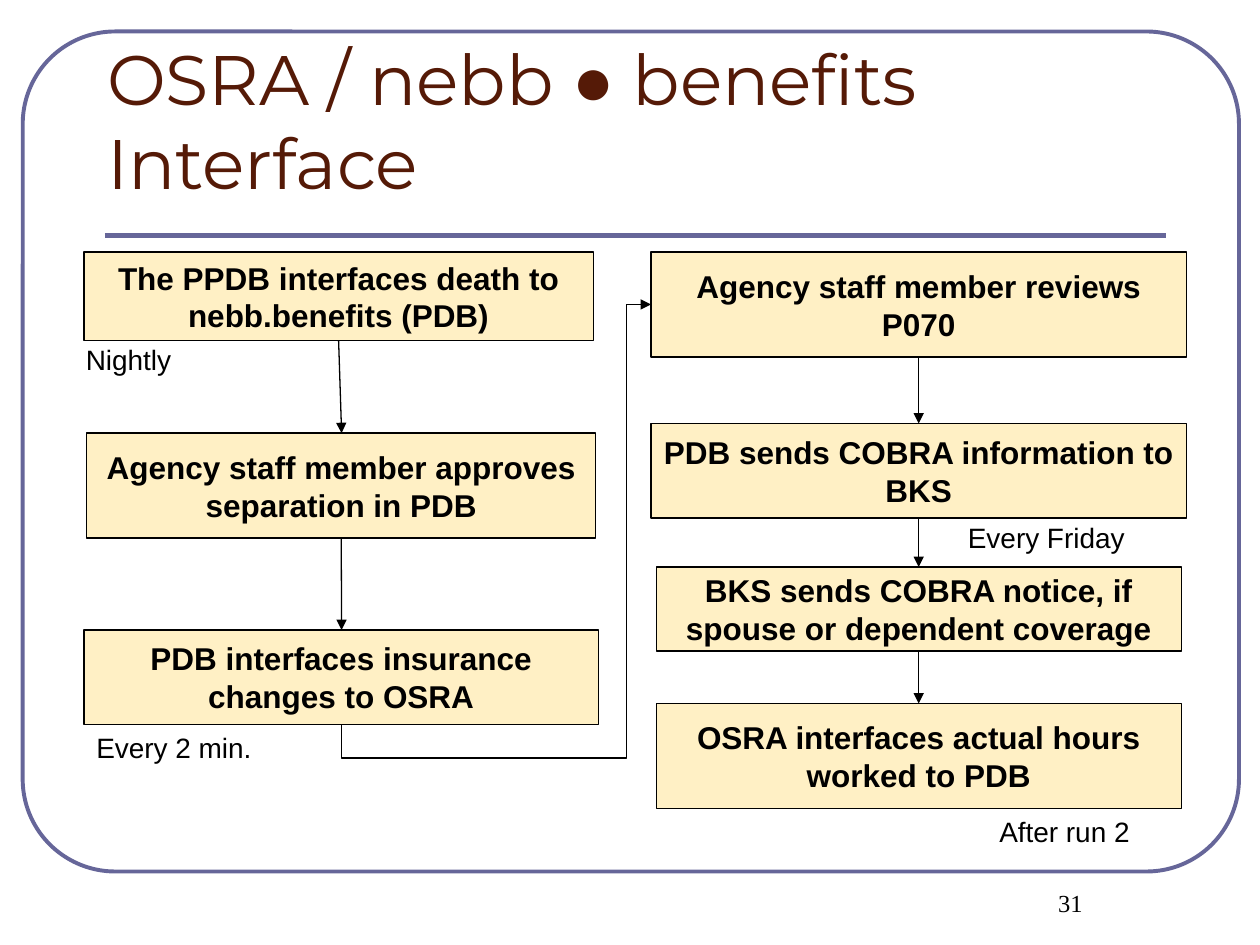
"""Build the benefits interface flowchart slide."""
from lxml import etree
from pptx import Presentation
from pptx.dml.color import RGBColor
from pptx.enum.shapes import MSO_CONNECTOR, MSO_SHAPE
from pptx.enum.text import MSO_ANCHOR, MSO_AUTO_SIZE, PP_ALIGN
from pptx.oxml.ns import qn
from pptx.util import Pt

PROCESS = MSO_SHAPE.FLOWCHART_PROCESS
ROUNDED = MSO_SHAPE.ROUNDED_RECTANGLE
STRAIGHT, ELBOW = MSO_CONNECTOR.STRAIGHT, MSO_CONNECTOR.ELBOW
MIDDLE, TOP, BOTTOM = MSO_ANCHOR.MIDDLE, MSO_ANCHOR.TOP, MSO_ANCHOR.BOTTOM
LEFT, CENTER = PP_ALIGN.LEFT, PP_ALIGN.CENTER
FIXED, GROW = MSO_AUTO_SIZE.NONE, MSO_AUTO_SIZE.SHAPE_TO_FIT_TEXT

BLACK = RGBColor(0x00, 0x00, 0x00)
CREAM = RGBColor(0xFF, 0xF0, 0xC5)
SLATE = RGBColor(0x66, 0x66, 0x99)
BROWN = RGBColor(0x55, 0x1A, 0x07)

STEP_FONT = {"name": "Arial", "size": Pt(18), "bold": True}
NOTE_FONT = {"name": "Arial", "size": Pt(16)}
NUMBER_FONT = {"name": "Times New Roman", "size": Pt(14)}
TITLE_FONT = {"name": "Montserrat", "size": Pt(40)}

LEFT_AXIS, RIGHT_AXIS = 195.2, 525
LEFT_STEPS = [
    ("The PPDB interfaces death to nebb.benefits (PDB)", (48, 144, 291, 50.75)),
    ("Agency staff member approves separation in PDB", (49.5, 247.5, 291, 60)),
    ("PDB interfaces insurance changes to OSRA", (48, 360, 294, 54)),
]
RIGHT_STEPS = [
    ("Agency staff member reviews P070", (372, 144, 306, 60)),
    ("PDB sends COBRA information to BKS", (372, 242, 306, 54)),
    ("BKS sends COBRA notice, if spouse or dependent coverage", (375, 324, 300, 48)),
    ("OSRA interfaces actual hours worked to PDB", (375, 402, 300, 60)),
]
TIMINGS = [
    ("Nightly", (42, 192, 64, 26.6)),
    ("Every 2 min.", (48, 414, 126, 26.6)),
    ("Every Friday", (546, 294, 126, 26.6)),
    ("After run 2", (564, 462, 100, 26.6)),
]


def points(values):
    return [Pt(value) for value in values]


def apply(target, formats):
    for attribute, value in formats.items():
        setattr(target, attribute, value)


class FlowSlide:
    """Hold the style and the current slide."""

    def __init__(self, deck):
        self.slide = deck.slides.add_slide(deck.slide_layouts[5])
        self.shapes = self.slide.shapes

    def fill_text(self, frame, runs, font, color=BLACK, align=LEFT, anchor=TOP, fit=FIXED):
        apply(frame, {
            "word_wrap": True, "auto_size": fit, "vertical_anchor": anchor,
            "margin_left": Pt(7.2), "margin_right": Pt(7.2),
            "margin_top": Pt(3.6), "margin_bottom": Pt(3.6),
        })
        paragraph = frame.paragraphs[0]
        paragraph.alignment = align
        for text, changes in runs:
            run = paragraph.add_run()
            run.text = text
            apply(run.font, {**font, **changes})
            run.font.color.rgb = color

    def title(self, runs, box):
        heading = self.shapes.title
        apply(heading, dict(zip(("left", "top", "width", "height"), points(box))))
        self.fill_text(heading.text_frame, runs, TITLE_FONT, BROWN, anchor=BOTTOM)

    def frame(self, box, rounding):
        border = self.shapes.add_shape(ROUNDED, *points(box))
        border.shadow.inherit = False
        border.adjustments[0] = rounding
        border.fill.background()
        border.line.color.rgb = SLATE
        border.line.width = Pt(2.25)

    def step(self, text, box):
        process = self.shapes.add_shape(PROCESS, *points(box))
        process.shadow.inherit = False
        process.fill.solid()
        process.fill.fore_color.rgb = CREAM
        process.line.color.rgb = BLACK
        process.line.width = Pt(0.75)
        self.fill_text(process.text_frame, [(text, {})], STEP_FONT,
                       align=CENTER, anchor=MIDDLE)

    def note(self, text, box, font=NOTE_FONT, align=LEFT, fit=GROW):
        label = self.shapes.add_textbox(*points(box))
        self.fill_text(label.text_frame, [(text, {})], font, align=align, fit=fit)
        return label

    def line(self, start, end, color=BLACK, width=0.75, arrow=True, kind=STRAIGHT):
        link = self.shapes.add_connector(kind, *points((*start, *end)))
        link.line.color.rgb = color
        link.line.width = Pt(width)
        properties = link.element.find(qn("p:spPr"))
        if arrow:
            etree.SubElement(properties.find(qn("a:ln")), qn("a:tailEnd"), type="triangle")
        etree.SubElement(properties, qn("a:effectLst"))
        return properties

    def loop(self, start, end, bends):
        center_x, center_y = (start[0] + end[0]) / 2, (start[1] + end[1]) / 2
        half_w, half_h = (start[1] - end[1]) / 2, (end[0] - start[0]) / 2
        properties = self.line((center_x + half_w, center_y + half_h),
                               (center_x - half_w, center_y - half_h), kind=ELBOW)
        properties.find(qn("a:xfrm")).set("rot", "5400000")
        geometry = properties.find(qn("a:prstGeom"))
        geometry.set("prst", "bentConnector4")
        guides = geometry.find(qn("a:avLst"))
        if guides is None:
            guides = etree.SubElement(geometry, qn("a:avLst"))
        for number, bend in enumerate(bends, 1):
            etree.SubElement(guides, qn("a:gd"), name=f"adj{number}",
                             fmla=f"val {round(bend * 100000)}")

    def column(self, steps, axis):
        for text, box in steps:
            self.step(text, box)
        for (_, upper), (_, lower) in zip(steps, steps[1:]):
            start_x = min(axis, upper[0] + upper[2] / 2)
            self.line((start_x, upper[1] + upper[3]), (axis, lower[1]))


def main():
    deck = Presentation()
    deck.slide_width, deck.slide_height = Pt(720), Pt(540)
    flow = FlowSlide(deck)
    flow.frame((13, 18, 695, 480), 0.11)
    flow.line((60, 134.7), (666, 134.7), SLATE, 3, arrow=False)
    flow.title([("OSRA / nebb ", {}), ("●", {"name": "Arial"}),
                (" benefits Interface", {})], (54, 30, 630, 90))
    flow.column(LEFT_STEPS, LEFT_AXIS)
    flow.column(RIGHT_STEPS, RIGHT_AXIS)
    flow.loop((LEFT_AXIS, 414), (372, 174), (-0.08, 0.92))
    for text, box in TIMINGS:
        flow.note(text, box)
    number = flow.note("31", (540, 504, 126, 36), NUMBER_FONT, CENTER, FIXED)
    number.text_frame.margin_left = Pt(24.5)
    deck.save("out.pptx")


if __name__ == "__main__":
    main()
